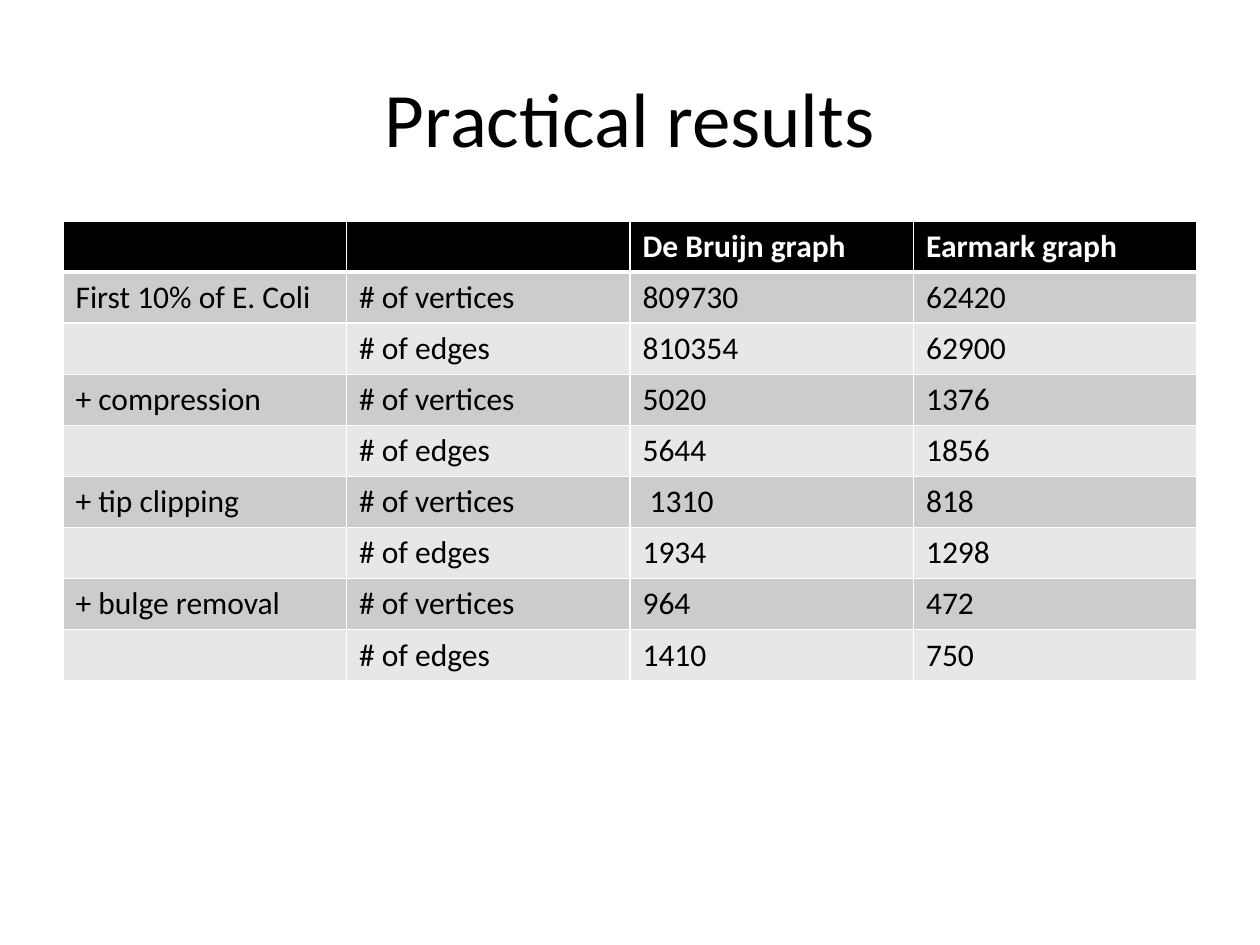
"""Build the practical results slide with its graph size table."""
import lxml.etree
import pptx
import pptx.dml.color
import pptx.enum.text
import pptx.oxml.ns
import pptx.util

BLACK = pptx.dml.color.RGBColor(0x00, 0x00, 0x00)
WHITE = pptx.dml.color.RGBColor(0xFF, 0xFF, 0xFF)
DARK_BAND = pptx.dml.color.RGBColor(0xCC, 0xCC, 0xCC)
LIGHT_BAND = pptx.dml.color.RGBColor(0xE7, 0xE7, 0xE7)
PIXEL = 914400 / 126

RESULTS = [
    ("", "", "De Bruijn graph", "Earmark graph"),
    ("First 10% of E. Coli", "# of vertices", "809730", "62420"),
    ("", "# of edges", "810354", "62900"),
    ("+ compression", "# of vertices", "5020", "1376"),
    ("", "# of edges", "5644", "1856"),
    ("+ tip clipping", "# of vertices", " 1310", "818"),
    ("", "# of edges", "1934", "1298"),
    ("+ bulge removal", "# of vertices", "964", "472"),
    ("", "# of edges", "1410", "750"),
]


def px(*lengths):
    return [round(length * PIXEL) for length in lengths]


def format_text(paragraph, text, size, color, bold):
    run = paragraph.add_run()
    run.text = text
    values = {"name": "Calibri", "size": pptx.util.Pt(size), "bold": bold}
    for name, value in values.items():
        setattr(run.font, name, value)
    run.font.color.rgb = color


presentation = pptx.Presentation()
presentation.slide_width, presentation.slide_height = px(1260, 945)
slide = presentation.slides.add_slide(presentation.slide_layouts[5])

title = slide.shapes.title
title.left, title.top, title.width, title.height = px(63, 38, 1134, 157)
title.text_frame.vertical_anchor = pptx.enum.text.MSO_ANCHOR.MIDDLE
title_paragraph = title.text_frame.paragraphs[0]
title_paragraph.alignment = pptx.enum.text.PP_ALIGN.CENTER
format_text(title_paragraph, "Practical results", 44, BLACK, False)

table = slide.shapes.add_table(
    len(RESULTS), len(RESULTS[0]), *px(63, 221, 1134, 460)
).table
for row, texts in enumerate(RESULTS):
    header = row == 0
    fill = BLACK if header else (DARK_BAND if row % 2 else LIGHT_BAND)
    border_widths = {
        "lnL": 1,
        "lnR": 1,
        "lnT": 3 if row == 1 else 1,
        "lnB": 3 if header else 1,
    }
    for column, text in enumerate(texts):
        cell = table.cell(row, column)
        properties = cell._tc.get_or_add_tcPr()
        for side, width in border_widths.items():
            line = lxml.etree.SubElement(
                properties, pptx.oxml.ns.qn(f"a:{side}"), w=str(pptx.util.Pt(width))
            )
            line_fill = lxml.etree.SubElement(line, pptx.oxml.ns.qn("a:solidFill"))
            lxml.etree.SubElement(
                line_fill, pptx.oxml.ns.qn("a:srgbClr"), val=str(WHITE)
            )
        cell.fill.solid()
        cell.fill.fore_color.rgb = fill
        if text:
            paragraph = cell.text_frame.paragraphs[0]
            format_text(paragraph, text, 18, WHITE if header else BLACK, header)

presentation.save("out.pptx")
